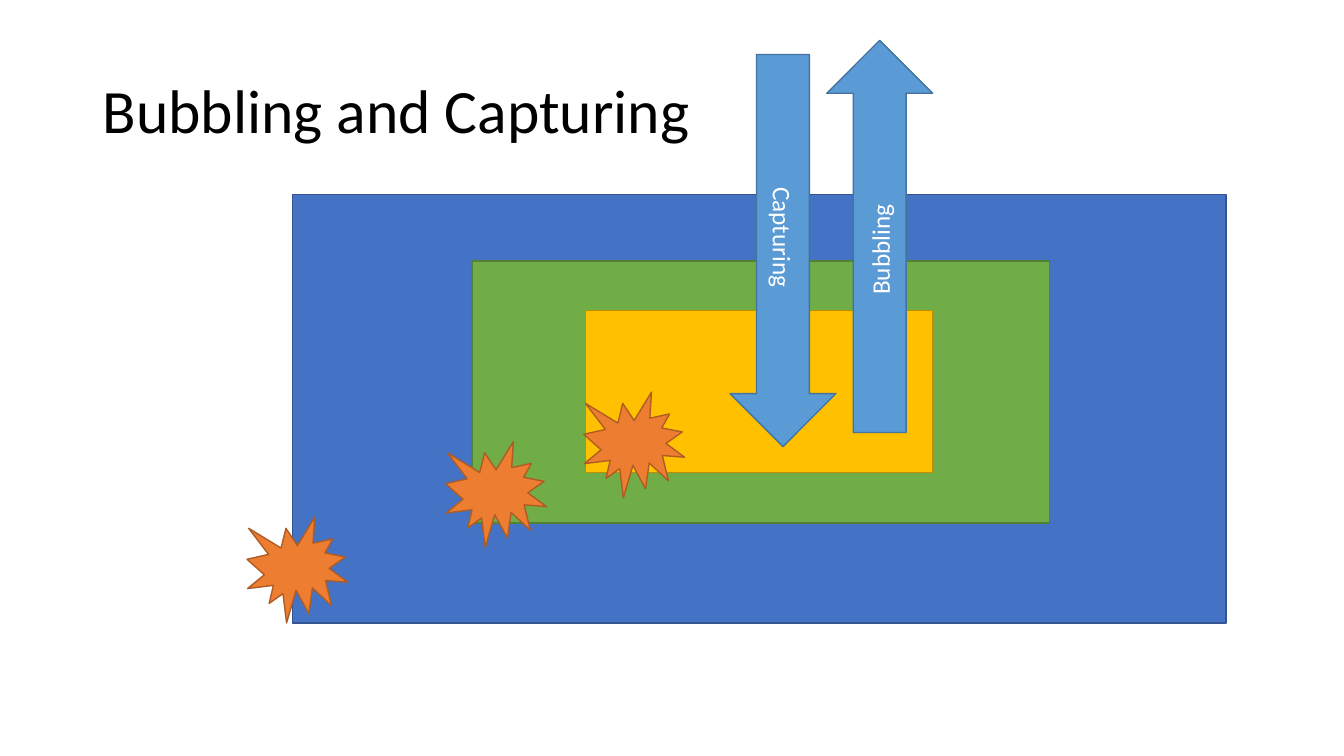
from pptx import Presentation
from pptx import util as u
from pptx.dml.color import RGBColor
from pptx.enum import shapes, text

BLACK = RGBColor(0x00, 0x00, 0x00)
WHITE = RGBColor(0xFF, 0xFF, 0xFF)
BLUE, BLUE_EDGE = RGBColor(0x44, 0x72, 0xC4), RGBColor(0x32, 0x54, 0x91)
GREEN, GREEN_EDGE = RGBColor(0x70, 0xAD, 0x47), RGBColor(0x53, 0x81, 0x35)
GOLD, GOLD_EDGE = RGBColor(0xFF, 0xC0, 0x00), RGBColor(0xBD, 0x8E, 0x00)
ORANGE, ORANGE_EDGE = RGBColor(0xED, 0x7D, 0x31), RGBColor(0xAF, 0x5C, 0x24)
SKY, SKY_EDGE = RGBColor(0x5B, 0x9B, 0xD5), RGBColor(0x43, 0x73, 0x9E)
KIND = shapes.MSO_SHAPE

prs = Presentation()
prs.slide_width, prs.slide_height = u.Inches(13.33), u.Inches(7.5)
s = prs.slides.add_slide(prs.slide_layouts[6])


def add_shape(kind, box, fill, edge):
    sp = s.shapes.add_shape(kind, *[u.Inches(v) for v in box])
    sp.shadow.inherit = False
    sp.fill.solid()
    sp.fill.fore_color.rgb = fill
    sp.line.color.rgb = edge
    sp.line.width = u.Pt(1)
    return sp


def write(sp, words, size, color, **paragraph_format):
    tf = sp.text_frame
    tf.word_wrap = True
    tf.vertical_anchor = text.MSO_ANCHOR.MIDDLE
    p = tf.paragraphs[0]
    for name, value in paragraph_format.items():
        setattr(p, name, value)
    r = p.add_run()
    r.text = words
    for name, value in {"name": "Calibri", "size": u.Pt(size)}.items():
        setattr(r.font, name, value)
    r.font.color.rgb = color


# Title
title = s.shapes.add_textbox(*[u.Inches(v) for v in (0.92, 0.4, 11.5, 1.45)])
write(title, "Bubbling and Capturing", 44, BLACK, line_spacing=0.9)

# Nested elements, outermost first
for box, fill, edge in [
    ((2.9, 1.93, 9.26, 4.25), BLUE, BLUE_EDGE),
    ((4.68, 2.59, 5.73, 2.6), GREEN, GREEN_EDGE),
    ((5.81, 3.08, 3.44, 1.61), GOLD, GOLD_EDGE),
]:
    add_shape(KIND.RECTANGLE, box, fill, edge)

# Event bursts on the lower left corners
for left, top in [(4.42, 4.38), (2.45, 5.13), (5.79, 3.89)]:
    add_shape(KIND.EXPLOSION1, (left, top, 1, 1.05), ORANGE, ORANGE_EDGE)

# Propagation arrows, turned upright
for words, left, top, turn in [
    ("Bubbling", 6.78, 1.82, 270),
    ("Capturing", 5.82, 1.96, 90),
]:
    sp = add_shape(KIND.RIGHT_ARROW, (left, top, 3.89, 1.05), SKY, SKY_EDGE)
    sp.rotation = turn
    write(sp, words, 18, WHITE, alignment=text.PP_ALIGN.CENTER)

prs.save("out.pptx")
